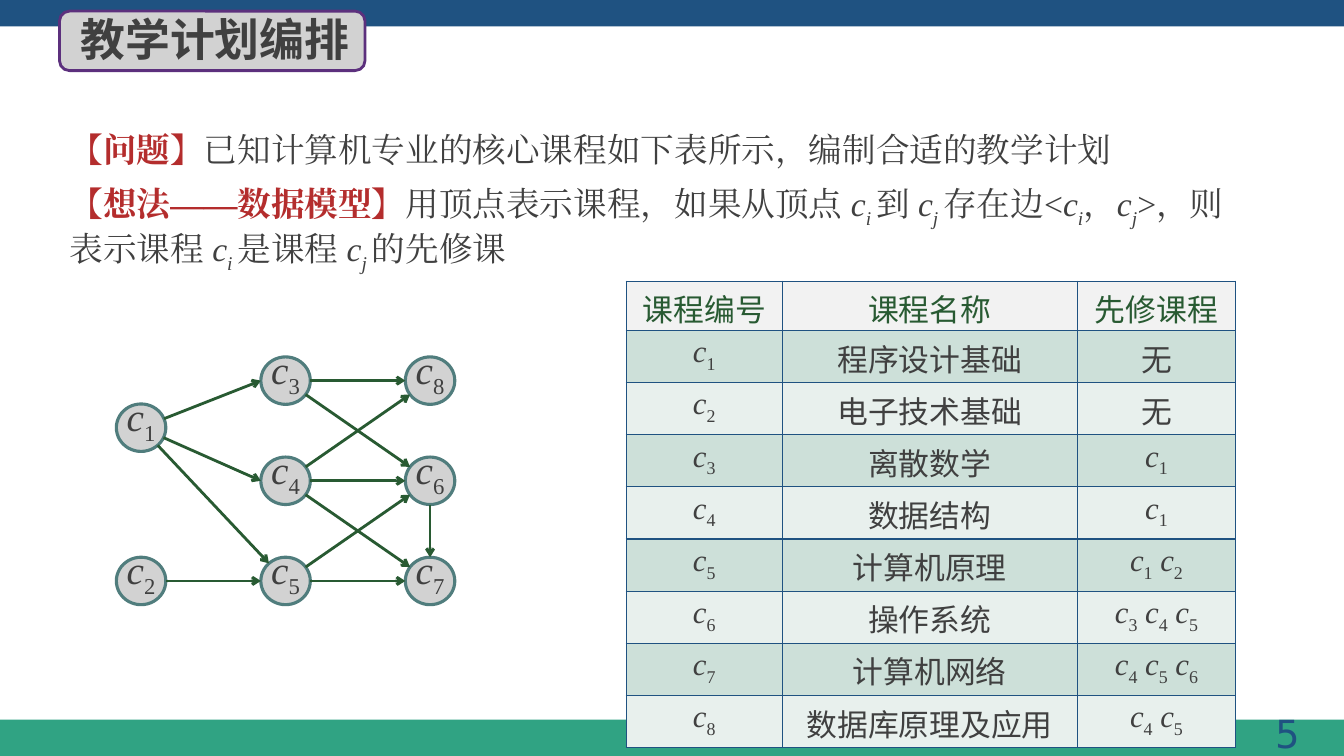
from math import hypot

from lxml import etree
from pptx import Presentation
from pptx.dml.color import RGBColor
from pptx.enum.shapes import MSO_CONNECTOR, MSO_SHAPE
from pptx.enum.text import MSO_ANCHOR, PP_ALIGN
from pptx.oxml.ns import qn
from pptx.util import Inches, Pt

RECT, ROUND, OVAL = MSO_SHAPE.RECTANGLE, MSO_SHAPE.ROUNDED_RECTANGLE, MSO_SHAPE.OVAL
STRAIGHT = MSO_CONNECTOR.STRAIGHT
LEFT, CENTER, RIGHT = PP_ALIGN.LEFT, PP_ALIGN.CENTER, PP_ALIGN.RIGHT
MIDDLE = MSO_ANCHOR.MIDDLE
SLIDE_W, SLIDE_H = Inches(13.33), Inches(7.5)
SERIF, SANS, DIGITS = "Times New Roman", "Noto Sans CJK SC", "DejaVu Sans"
COLORS = {
    "blue": "1F5281", "teal": "30A383", "grey": "D2D2D2", "purple": "5C307D",
    "text": "404040", "red": "B42D2D", "green": "285A32", "rim": "507D7D",
    "header": "F2F2F2", "odd": "CDE0D9", "even": "E8F0ED",
}

HEADINGS = ("课程编号", "课程名称", "先修课程")
COURSES = (
    ("程序设计基础", ()), ("电子技术基础", ()), ("离散数学", (1,)), ("数据结构", (1,)),
    ("计算机原理", (1, 2)), ("操作系统", (3, 4, 5)), ("计算机网络", (4, 5, 6)),
    ("数据库原理及应用", (4, 5)),
)
COLUMN_SHARES = (11.6, 21.95, 11.8)

NODE_CELLS = {1: (0, 0.47), 2: (0, 2), 3: (1, 0), 4: (1, 1), 5: (1, 2),
              8: (2, 0), 6: (2, 1), 7: (2, 2)}
NODE_RX, NODE_RY = SLIDE_W * 0.0184, SLIDE_H * 0.0314
EDGES_TO_RIM = ((1, 5), (2, 5), (3, 8), (3, 6), (4, 8), (4, 6), (4, 7),
                (5, 6), (5, 7), (6, 7))
EDGES_TO_LEFT_SIDE = ((1, 3), (1, 4))


def rgb(name):
    return RGBColor.from_string(COLORS[name])


def area(left, top, width, height):
    return [round(side * share / 100) for side, share in
            zip((SLIDE_W, SLIDE_H, SLIDE_W, SLIDE_H), (left, top, width, height))]


def write(paragraph, text, size=24, font=SERIF, color="text", bold=False,
          italic=False, lowered=False, align=LEFT, spacing=None):
    paragraph.alignment = align
    if spacing:
        paragraph.line_spacing = Pt(spacing)
    run = paragraph.add_run()
    run.text = text
    run.font.size, run.font.name = Pt(size), font
    run.font.bold, run.font.italic = bold, italic
    run.font.color.rgb = rgb(color)
    properties = run.font._element
    etree.SubElement(properties, qn("a:ea"), typeface=font)
    if lowered:
        properties.set("baseline", "-25000")


def write_with_symbols(paragraph, text, **style):
    for index, part in enumerate(text.split("~")):
        if index % 2:
            write(paragraph, part[0], italic=True, **style)
            write(paragraph, part[1:], italic=part[1].isalpha(), lowered=True, **style)
        elif part:
            write(paragraph, part, **style)


def add_panel(slide, kind, place, fill, line=None, width=0):
    panel = slide.shapes.add_shape(kind, *place)
    panel.shadow.inherit = False
    panel.fill.solid()
    panel.fill.fore_color.rgb = rgb(fill)
    if line:
        panel.line.color.rgb = rgb(line)
        panel.line.width = Pt(width)
    else:
        panel.line.fill.background()
    return panel


def add_paragraph_box(slide, place):
    frame = slide.shapes.add_textbox(*place).text_frame
    frame.word_wrap = True
    return frame.paragraphs[0]


def style_cell(cell, fill):
    properties = cell._tc.get_or_add_tcPr()
    for side in ("lnL", "lnR", "lnT", "lnB"):
        border = etree.SubElement(properties, qn(f"a:{side}"), w=str(Pt(1)))
        paint = etree.SubElement(border, qn("a:solidFill"))
        etree.SubElement(paint, qn("a:srgbClr"), val=COLORS["blue"])
    cell.fill.solid()
    cell.fill.fore_color.rgb = rgb(fill)


def add_course_table(slide):
    rows = [HEADINGS]
    for number, (course, required) in enumerate(COURSES, 1):
        prerequisites = " ".join(f"~c{needed}~" for needed in required) or "无"
        rows.append((f"~c{number}~", course, prerequisites))
    place = area(46.6, 37.2, sum(COLUMN_SHARES), 6.5 * len(rows))
    table = slide.shapes.add_table(len(rows), len(HEADINGS), *place).table
    table.first_row = table.horz_banding = False
    for column, share in zip(table.columns, COLUMN_SHARES):
        column.width = round(SLIDE_W * share / 100)
    for r, row in enumerate(rows):
        fill = "header" if r == 0 else "odd" if r % 2 else "even"
        for c, text in enumerate(row):
            cell = table.cell(r, c)
            style_cell(cell, fill)
            write_with_symbols(cell.text_frame.paragraphs[0], text, size=22,
                               font=SERIF if "~" in text else SANS,
                               color="text" if r else "green", align=CENTER)


def node_center(number):
    column, row = NODE_CELLS[number]
    return area(10.5 + 10.75 * column, 50.35 + 13.25 * row, 0, 0)[:2]


def rim_point(center, toward):
    dx, dy = toward[0] - center[0], toward[1] - center[1]
    reach = hypot(dx / NODE_RX, dy / NODE_RY)
    return round(center[0] + dx / reach), round(center[1] + dy / reach)


def add_node(slide, number):
    x, y = node_center(number)
    place = [round(v) for v in (x - NODE_RX, y - NODE_RY, 2 * NODE_RX, 2 * NODE_RY)]
    frame = add_panel(slide, OVAL, place, "grey", "rim", 2.25).text_frame
    frame.margin_left = frame.margin_right = frame.margin_top = frame.margin_bottom = 0
    frame.vertical_anchor = MIDDLE
    frame.word_wrap = True
    write_with_symbols(frame.paragraphs[0], f"~c{number}~", size=28,
                       align=CENTER, spacing=26)


def add_arrow(slide, start, end):
    arrow = slide.shapes.add_connector(STRAIGHT, *start, *end)
    arrow.line.color.rgb = rgb("green")
    arrow.line.width = Pt(2)
    etree.SubElement(arrow.line._get_or_add_ln(), qn("a:tailEnd"), type="arrow")
    etree.SubElement(arrow._element.spPr, qn("a:effectLst"))


def add_course_graph(slide):
    for number in NODE_CELLS:
        add_node(slide, number)
    for source, target in EDGES_TO_RIM:
        start, end = node_center(source), node_center(target)
        add_arrow(slide, rim_point(start, end), rim_point(end, start))
    for source, target in EDGES_TO_LEFT_SIDE:
        start, (x, y) = node_center(source), node_center(target)
        left_side = round(x - NODE_RX), y
        add_arrow(slide, rim_point(start, left_side), left_side)


def main():
    deck = Presentation()
    deck.slide_width, deck.slide_height = SLIDE_W, SLIDE_H
    slide = deck.slides.add_slide(deck.slide_layouts[6])

    add_panel(slide, RECT, area(0, 95.2, 100, 4.8), "teal")
    add_panel(slide, RECT, area(0, 0, 100, 3.5), "blue")
    page_number = add_paragraph_box(slide, area(75.4, 93.2, 22.05, 7.6))
    write(page_number, "5", size=27.6, font=DIGITS, color="blue", align=RIGHT)

    add_panel(slide, ROUND, area(4.43, 1.47, 22.73, 7.87), "grey", "purple", 2)
    title = add_paragraph_box(slide, area(5.25, 0.93, 22.8, 8.53))
    write(title, "教学计划编排", size=32, font=SANS, bold=True)

    problem = add_paragraph_box(slide, area(4.43, 16.4, 88.75, 6.67))
    write(problem, "【问题】", color="red", bold=True)
    write(problem, "已知计算机专业的核心课程如下表所示，编制合适的教学计划")

    idea = add_paragraph_box(slide, area(4.43, 23.73, 88.52, 13.33))
    write(idea, "【想法——数据模型】", color="red", bold=True, spacing=32)
    write_with_symbols(idea, "用顶点表示课程，如果从顶点 ~ci ~到 ~cj ~存在边<~ci~，~cj~>，"
                             "则表示课程 ~ci ~是课程 ~cj ~的先修课")

    add_course_table(slide)
    add_course_graph(slide)
    deck.save("out.pptx")


if __name__ == "__main__":
    main()
